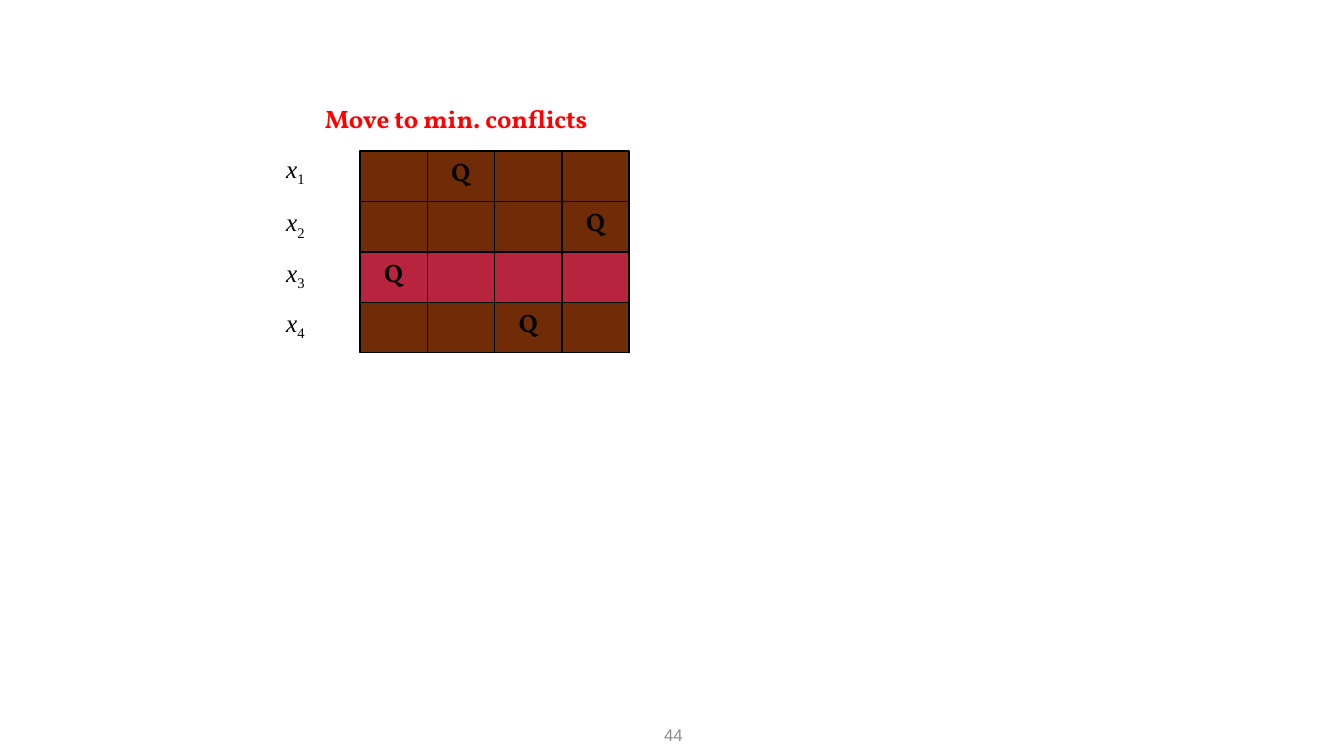
from pptx import Presentation
from pptx.dml.color import RGBColor
from pptx.enum import shapes, text
from pptx.oxml import ns
from pptx.util import Inches, Pt
from lxml import etree

HEADING = "Move to min. conflicts"
PAGE_NUMBER = "44"
VARIABLES = ["1", "2", "3", "4"]
QUEEN_COLUMNS = [1, 3, 0, 2]  # one queen per row, top to bottom
MOVING_ROW = 2
COLORS = {"board": "702C07", "moving": "B8243D", "ink": "000000",
          "heading": "FF0000", "page": "8C8C8C"}

SIZE = 4
CELL_W, CELL_H = 2.67 / SIZE, 0.5
BOARD_LEFT, BOARD_TOP = 3.57, 1.5
BOARD_RIGHT, BOARD_BOTTOM = BOARD_LEFT + SIZE * CELL_W, BOARD_TOP + SIZE * CELL_H
LABEL_LEFT, LABEL_W, TEXT_H = 2.74, 0.5, 0.4


def color(name):
    return RGBColor.from_string(COLORS[name])


def column_x(column):
    return BOARD_LEFT + column * CELL_W


def row_y(row):
    return BOARD_TOP + row * CELL_H


def write(box, runs, font="Vollkorn", size=18, ink="ink", bold=False,
          align=text.PP_ALIGN.CENTER, anchor=text.MSO_ANCHOR.TOP, wrap=True):
    """Fill a box with one paragraph of (text, italic, baseline) runs."""
    frame = box.text_frame
    frame.word_wrap = wrap
    frame.auto_size = text.MSO_AUTO_SIZE.NONE
    frame.vertical_anchor = anchor
    paragraph = frame.paragraphs[0]
    paragraph.alignment = align
    for words, italic, baseline in runs:
        run = paragraph.add_run()
        run.text = words
        run.font.name, run.font.size = font, Pt(size)
        run.font.bold, run.font.italic = bold, italic
        run.font.color.rgb = color(ink)
        if baseline:
            run.font._element.set("baseline", str(baseline * 1000))


def add_text(slide, left, top, width, height, runs, **style):
    box = slide.shapes.add_textbox(*map(Inches, (left, top, width, height)))
    write(box, runs, **style)


def add_rect(slide, left, top, width, height, fill):
    rect = slide.shapes.add_shape(shapes.MSO_SHAPE.RECTANGLE,
                                  *map(Inches, (left, top, width, height)))
    rect.shadow.inherit = False
    rect.fill.solid()
    rect.fill.fore_color.rgb = color(fill)
    rect.line.color.rgb = color("ink")
    rect.line.width = Pt(1)


def add_line(slide, x1, y1, x2, y2):
    line = slide.shapes.add_connector(shapes.MSO_CONNECTOR.STRAIGHT,
                                      *map(Inches, (x1, y1, x2, y2)))
    line.line.color.rgb = color("ink")
    line.line.width = Pt(1)
    etree.SubElement(line._element.spPr, ns.qn("a:effectLst"))


def draw_board(slide):
    add_rect(slide, BOARD_LEFT, BOARD_TOP, SIZE * CELL_W, SIZE * CELL_H, "board")
    for column in range(SIZE):
        add_rect(slide, column_x(column), row_y(MOVING_ROW), CELL_W, CELL_H, "moving")
    for i in range(1, SIZE + 1):
        add_line(slide, column_x(i), BOARD_TOP, column_x(i), BOARD_BOTTOM)
        add_line(slide, BOARD_LEFT, row_y(i), BOARD_RIGHT, row_y(i))


def main():
    deck = Presentation()
    deck.slide_width, deck.slide_height = Inches(13.33), Inches(7.5)
    slide = deck.slides.add_slide(deck.slide_layouts.get_by_name("Title Only"))

    heading = slide.shapes.title
    heading.left, heading.top = Inches(3.08), Inches(0.97)
    heading.width, heading.height = Inches(2.89), Inches(TEXT_H)
    write(heading, [(HEADING, False, 0)], ink="heading", bold=True,
          anchor=text.MSO_ANCHOR.MIDDLE, wrap=False)

    draw_board(slide)
    for row, (subscript, queen) in enumerate(zip(VARIABLES, QUEEN_COLUMNS)):
        add_text(slide, column_x(queen), row_y(row), CELL_W, TEXT_H,
                 [("Q", False, 0)], bold=True)
        label_top = row_y(row) - (0.03 if row == 0 else 0)
        add_text(slide, LABEL_LEFT, label_top, LABEL_W, TEXT_H,
                 [("x", True, 0), (subscript, False, -25)],
                 font="Times New Roman", align=text.PP_ALIGN.LEFT)

    add_text(slide, 4.43, 7.09, 4.5, TEXT_H, [(PAGE_NUMBER, False, 0)], font="Arial",
             size=12, ink="page", anchor=text.MSO_ANCHOR.MIDDLE)
    deck.save("out.pptx")


if __name__ == "__main__":
    main()
